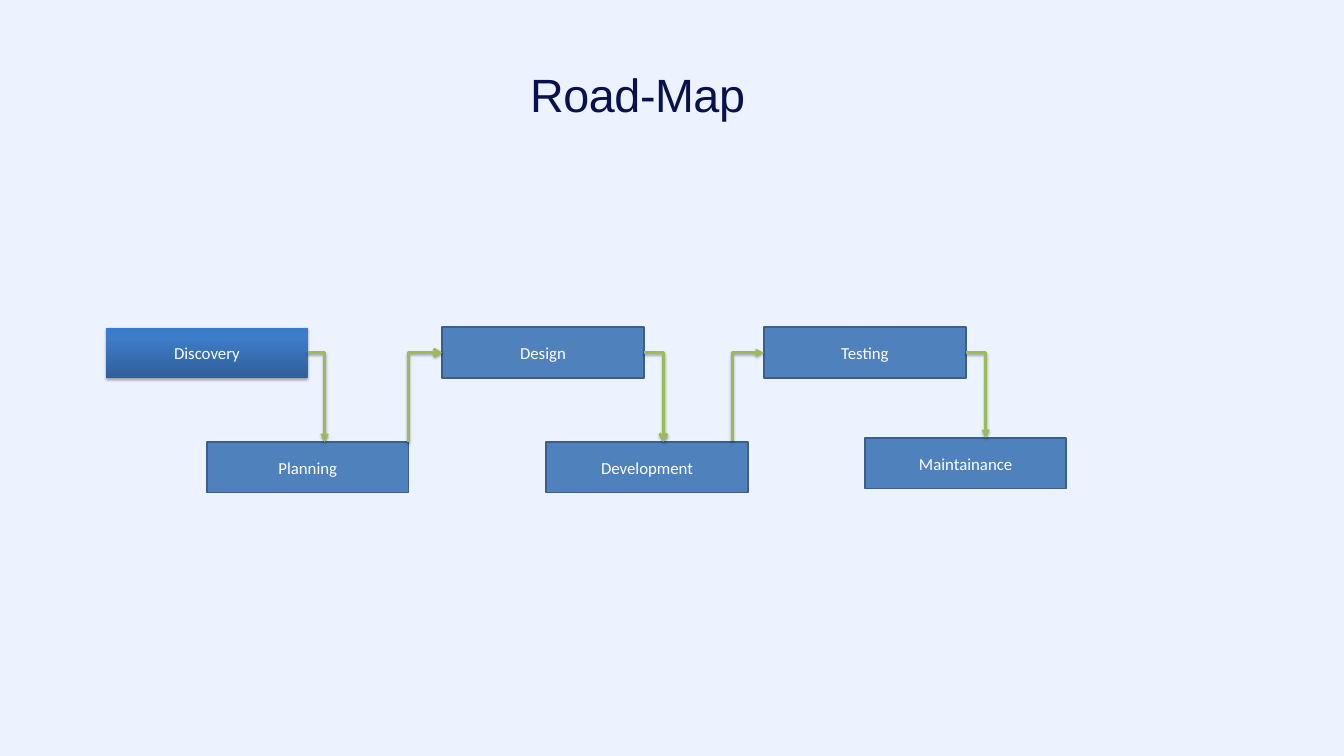
from copy import deepcopy
from dataclasses import dataclass

from lxml import etree
from pptx import Presentation
from pptx.dml.color import RGBColor
from pptx.enum.shapes import MSO_CONNECTOR, MSO_SHAPE
from pptx.enum.text import MSO_ANCHOR, MSO_AUTO_SIZE, PP_ALIGN
from pptx.oxml.ns import qn
from pptx.shapes.autoshape import Shape
from pptx.slide import Slide
from pptx.util import Inches, Pt

ELBOW = MSO_CONNECTOR.ELBOW
RECTANGLE = MSO_SHAPE.RECTANGLE
MIDDLE = MSO_ANCHOR.MIDDLE
FIT_SHAPE = MSO_AUTO_SIZE.SHAPE_TO_FIT_TEXT
CENTER = PP_ALIGN.CENTER
JUSTIFY = PP_ALIGN.JUSTIFY

COLORS = {
    "background": "ECF2FE",
    "title": "08104D",
    "box": "4F81BD",
    "border": "3A5F8C",
    "label": "FFFFFF",
    "arrow": "9BBB59",
    "shadow": "000000",
    "gradient_dark": "2F5F99",
    "gradient_middle": "3D7CC7",
    "gradient_light": "3A7CCB",
}
GRADIENT = ((0, "gradient_dark"), (0.8, "gradient_middle"), (1, "gradient_light"))
BOX_WIDTH, BOX_HEIGHT = 3, 0.75
UPPER_MIDDLE = 5.25


@dataclass
class Phase:
    name: str
    left: float
    top: float
    highlighted: bool = False


@dataclass
class Arrow:
    start_x: float
    start_y: float
    end_x: float
    end_y: float
    head: str = "triangle"


PHASES = (
    Phase("Discovery", 1.58, 4.88, True),
    Phase("Planning", 3.08, 6.58),
    Phase("Design", 6.58, 4.87),
    Phase("Development", 8.13, 6.58),
    Phase("Testing", 11.37, 4.87),
    Phase("Maintainance", 12.87, 6.52),
)
ARROWS = (
    Arrow(4.58, UPPER_MIDDLE, 4.83, 6.58),
    Arrow(6.08, 6.58, 6.58, UPPER_MIDDLE, "arrow"),
    Arrow(9.58, UPPER_MIDDLE, 9.87, 6.58, "arrow"),
    Arrow(10.9, 6.56, 11.37, UPPER_MIDDLE),
    Arrow(14.37, UPPER_MIDDLE, 14.67, 6.52),
)


def color(name: str) -> RGBColor:
    return RGBColor.from_string(COLORS[name])


def add_shadow(properties: etree._Element) -> None:
    effects = properties.find(qn("a:effectLst"))
    if effects is None:
        effects = etree.SubElement(properties, qn("a:effectLst"))
    shadow = etree.SubElement(
        effects, qn("a:outerShdw"), blurRad=str(Pt(3.1)), dist=str(Pt(1.8)),
        dir="5400000", rotWithShape="0")
    tint = etree.SubElement(shadow, qn("a:srgbClr"), val=COLORS["shadow"])
    etree.SubElement(tint, qn("a:alpha"), val="35000")


def fill_gradient(box: Shape) -> None:
    box.fill.gradient()
    box.fill.gradient_angle = 90
    stops = box._element.spPr.find(qn("a:gradFill")).find(qn("a:gsLst"))
    stops.append(deepcopy(stops[0]))
    for stop, (position, name) in zip(box.fill.gradient_stops, GRADIENT):
        stop.position = position
        stop.color.rgb = color(name)


def add_title(slide: Slide, text: str) -> None:
    box = slide.shapes.add_textbox(Inches(7.89), Inches(0.91), Inches(3.73), Inches(0.84))
    frame = box.text_frame
    frame.word_wrap = True
    frame.auto_size = FIT_SHAPE
    frame.margin_left = frame.margin_top = frame.margin_right = frame.margin_bottom = 0
    para = frame.paragraphs[0]
    para.alignment = JUSTIFY
    para.line_spacing = Pt(65)
    span = para.add_run()
    span.text = text
    span.font.name = "Arial"
    span.font.size = Pt(50)
    span.font.color.rgb = color("title")
    span.font._element.set("spc", "-50")


def add_phase(slide: Slide, phase: Phase) -> None:
    box = slide.shapes.add_shape(
        RECTANGLE, Inches(phase.left), Inches(phase.top), Inches(BOX_WIDTH), Inches(BOX_HEIGHT))
    box.shadow.inherit = False
    if phase.highlighted:
        fill_gradient(box)
        box.line.fill.background()
        add_shadow(box._element.spPr)
    else:
        box.fill.solid()
        box.fill.fore_color.rgb = color("box")
        box.line.color.rgb = color("border")
        box.line.width = Pt(2)
    box.text_frame.word_wrap = True
    box.text_frame.vertical_anchor = MIDDLE
    para = box.text_frame.paragraphs[0]
    para.alignment = CENTER
    span = para.add_run()
    span.text = phase.name
    span.font.name = "Calibri"
    span.font.size = Pt(18)
    span.font.color.rgb = color("label")


def add_arrow(slide: Slide, arrow: Arrow) -> None:
    start_x, start_y, end_x, end_y = arrow.start_x, arrow.start_y, arrow.end_x, arrow.end_y
    rises = end_y < start_y
    if rises:
        center_x, center_y = (start_x + end_x) / 2, (start_y + end_y) / 2
        half_width, half_height = (start_y - end_y) / 2, (end_x - start_x) / 2
        start_x, end_x = center_x + half_width, center_x - half_width
        start_y, end_y = center_y + half_height, center_y - half_height
    connector = slide.shapes.add_connector(
        ELBOW, Inches(start_x), Inches(start_y), Inches(end_x), Inches(end_y))
    properties = connector._element.spPr
    properties.find(qn("a:prstGeom")).set("prst", "bentConnector2")
    if rises:
        properties.find(qn("a:xfrm")).set("rot", "5400000")
    connector.line.color.rgb = color("arrow")
    connector.line.width = Pt(3)
    etree.SubElement(properties.find(qn("a:ln")), qn("a:tailEnd"), type=arrow.head)
    add_shadow(properties)


def main() -> None:
    deck = Presentation()
    deck.slide_width, deck.slide_height = Inches(20), Inches(11.25)
    page = deck.slides.add_slide(deck.slide_layouts[6])
    page.background.fill.solid()
    page.background.fill.fore_color.rgb = color("background")
    add_title(page, "Road-Map")
    for phase in PHASES:
        add_phase(page, phase)
    for arrow in ARROWS:
        add_arrow(page, arrow)
    deck.save("out.pptx")


if __name__ == "__main__":
    main()
